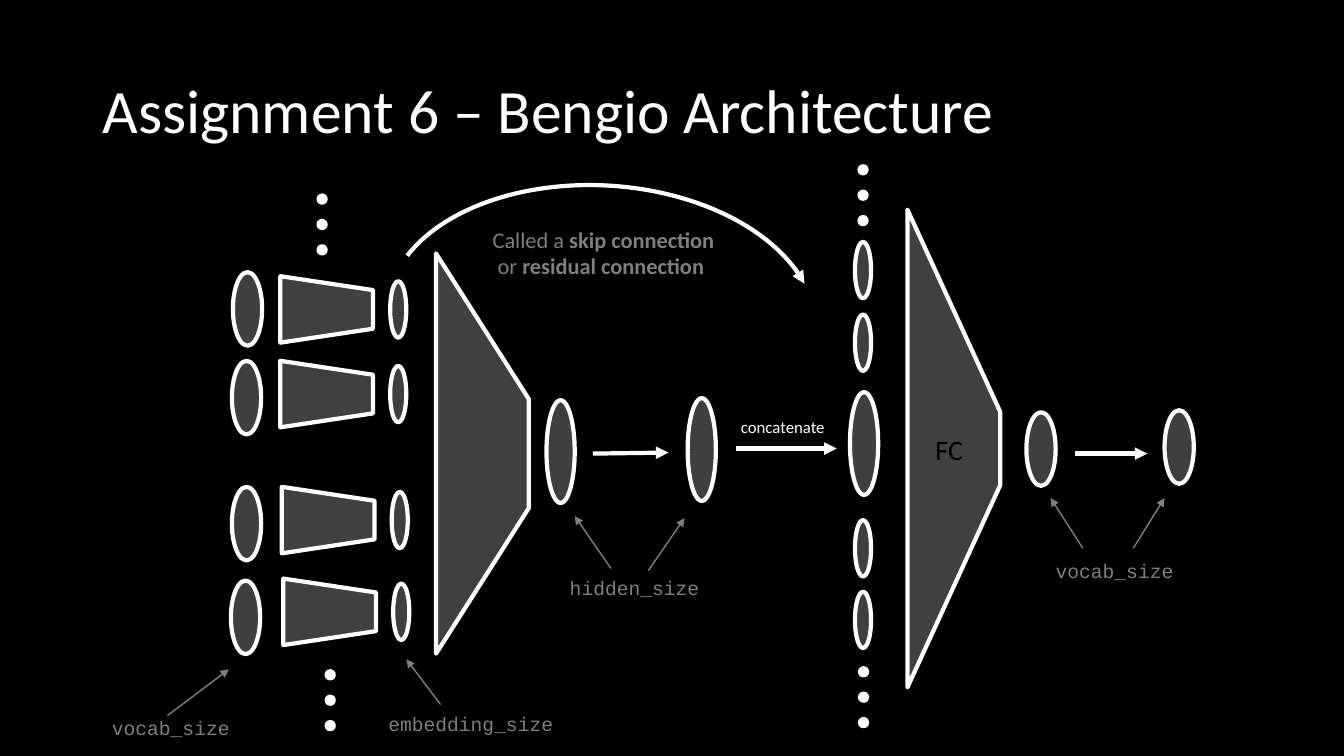
import pptx
import pptx.util
import pptx.dml.color
import pptx.enum.shapes
import pptx.enum.text
import pptx.oxml
import pptx.oxml.ns

SHAPE = pptx.enum.shapes.MSO_SHAPE
ALIGN = pptx.enum.text.PP_ALIGN
ANCHOR = pptx.enum.text.MSO_ANCHOR

COLORS = {"back": "000000", "white": "FFFFFF", "grey": "7F7F7F", "layer": "404040"}

# All places are columns and rows of a grid, 133.3 columns by 75 rows.
COLS, ROWS = 133.3, 75

# ellipse sizes: width, height
VOCAB, HIDDEN, EMBED = (2.9, 7.3), (2.8, 10.2), (1.6, 5.6)
LAYER_DEPTH = 9.2
DOT, DOT_GAP = 0.7, 2.52

# one input word each: vocab centre x, vocab centre y, shift to the right, row centre
WORDS = [(24.55, 30.65, 0, 30.7), (24.45, 39.45, 0, 39.1),
         (24.45, 51.95, 0.15, 51.6), (24.35, 61.25, 0.3, 60.7)]
WORD_LAYER_X, WORD_EMBED_X = 32.4, 39.5

VECTORS = [  # size, centres
    (HIDDEN, [(55.6, 44.8), (69.6, 44.6), (85.7, 44)]),
    (EMBED, [(85.6, y) for y in (26.8, 34, 54.4, 61.5)]),
    (VOCAB, [(103.25, 44.55), (116.95, 44.35)]),
]
LAYERS = [  # centre, wide side, slant as a share of the short side
    ((47.85, 45), 39.7, 1.57),
    ((94.6, 44.5), 47.4, 2.18),
]
WORD_LAYER = (6.6, 0.21)
DOTS = [(31.95, 19.75), (32.75, 66.95), (85.6, 16.85), (85.65, 66.65)]  # first centre

FLOW = [((106.6, 45), (113.8, 45)), ((58.8, 45), (66.3, 44.9)), ((73, 44.5), (83, 44.5))]
POINTERS = [((107.4, 54.4), (104.2, 49.4)), ((112.4, 54.4), (115.5, 49.4)),
            ((60.6, 56.4), (57, 51.2)), ((64.3, 56.6), (67.9, 51.4)),
            ((16.6, 71), (22.7, 66.4)), ((43.7, 69.9), (40.3, 65.4))]
SKIP = {"at": (38.3, 18.4, 42.7, 26.9), "angles": (117.12, 207.7), "turn": 3.4}

TITLE = {"size": 44, "color": "white"}
NOTE = {"size": 16, "color": "grey", "align": ALIGN.CENTER}
CODE = {"size": 14, "color": "grey", "align": ALIGN.CENTER, "name": "Courier New"}
TEXTS = [  # place, runs as (text, bold), format
    ((9.2, 4, 115, 14.5), [("Assignment 6 – Bengio Architecture", False)], TITLE),
    ((72.5, 40.9, 11.7, 3), [("concatenate", False)], {"size": 12, "color": "white"}),
    ((47.4, 21.9, 24.9, 6.4), [("Called a ", False), ("skip connection ", True),
                               ("or ", False), ("residual connection ", True)], NOTE),
    ((102.7, 55, 15.7, 3.4), [("vocab_size", False)], CODE),
    ((55.1, 56.6, 15.7, 3.4), [("hidden_size", False)], CODE),
    ((9.1, 70.5, 15.7, 3.4), [("vocab_size", False)], CODE),
    ((37.5, 70.1, 18.4, 3.4), [("embedding_size", False)], CODE),
    ((91.8, 42.4, 5.5, 4.4), [("FC", False)], {"size": 20, "color": "back"}),
]

prs = pptx.Presentation()
prs.slide_width, prs.slide_height = pptx.util.Inches(13.33), pptx.util.Inches(7.5)
s = prs.slides.add_slide(prs.slide_layouts[6])


def rgb(name):
    return pptx.dml.color.RGBColor.from_string(COLORS[name])


def grid(*values):
    """Turn alternating columns and rows into slide lengths."""
    units = (prs.slide_width / COLS, prs.slide_height / ROWS)
    return [round(v * units[i % 2]) for i, v in enumerate(values)]


def sub(parent, tag, **attrs):
    element = parent.makeelement(pptx.oxml.ns.qn(tag), attrs)
    parent.append(element)
    return element


def stroke(line, color="white", width=3, arrow=False):
    line.color.rgb = rgb(color)
    line.width = pptx.util.Pt(width)
    if arrow:
        sub(line._get_or_add_ln(), "a:tailEnd", type="triangle")


def add_centred(shapes, kind, centre, size, fill, alpha=None):
    (x, y), (w, h) = centre, size
    sp = shapes.add_shape(kind, *grid(x - w / 2, y - h / 2, w, h))
    sp.shadow.inherit = False
    sp.fill.solid()
    sp.fill.fore_color.rgb = rgb(fill)
    if alpha:
        color = sp._element.spPr.find(".//" + pptx.oxml.ns.qn("a:srgbClr"))
        sub(color, "a:alpha", val=str(alpha * 1000))
    stroke(sp.line)
    return sp


def add_vector(centre, size):
    add_centred(s.shapes, SHAPE.OVAL, centre, size, "grey", alpha=50)


def add_layer(centre, side, slant):
    """Trapezoid with its narrow side to the right."""
    sp = add_centred(s.shapes, SHAPE.TRAPEZOID, centre, (side, LAYER_DEPTH), "layer")
    sp.rotation = 90
    sp.adjustments[0] = slant


def add_arrow(start, end, color, width):
    c = s.shapes.add_connector(pptx.enum.shapes.MSO_CONNECTOR.STRAIGHT, *grid(*start, *end))
    stroke(c.line, color, width, arrow=True)
    sub(c._element.spPr, "a:effectLst")


def add_skip_arc(at, angles, turn):
    sp = s.shapes.add_shape(SHAPE.ARC, *grid(*at))
    sp.shadow.inherit = False
    sp.fill.background()
    sp.rotation = turn
    for i, angle in enumerate(angles):
        sp.adjustments[i] = angle
    stroke(sp.line, arrow=True)


def add_text(at, runs, style):
    tf = s.shapes.add_textbox(*grid(*at)).text_frame
    tf.word_wrap = True
    p = tf.paragraphs[0]
    p.alignment = style.get("align", ALIGN.LEFT)
    if style is TITLE:
        tf.vertical_anchor = ANCHOR.MIDDLE
        p.line_spacing = 0.9
    for text, bold in runs:
        r = p.add_run()
        r.text = text
        values = {"size": pptx.util.Pt(style["size"]), "bold": bold,
                  "name": style.get("name", "Calibri")}
        for key, value in values.items():
            setattr(r.font, key, value)
        r.font.color.rgb = rgb(style["color"])


s.background.fill.solid()
s.background.fill.fore_color.rgb = rgb("back")

for vocab_x, vocab_y, shift, y in WORDS:
    add_vector((vocab_x, vocab_y), VOCAB)
    add_layer((WORD_LAYER_X + shift, y), *WORD_LAYER)
    add_vector((WORD_EMBED_X + shift, y), EMBED)
for layer in LAYERS:
    add_layer(*layer)
for size, centres in VECTORS:
    for centre in centres:
        add_vector(centre, size)
for x, y in DOTS:
    group = s.shapes.add_group_shape()
    for i in range(3):
        add_centred(group.shapes, SHAPE.OVAL, (x, y + i * DOT_GAP), (DOT, DOT), "white")

add_skip_arc(**SKIP)
for start, end in FLOW:
    add_arrow(start, end, "white", 3)
for start, end in POINTERS:
    add_arrow(start, end, "grey", 1)
for item in TEXTS:
    add_text(*item)

prs.save("out.pptx")
